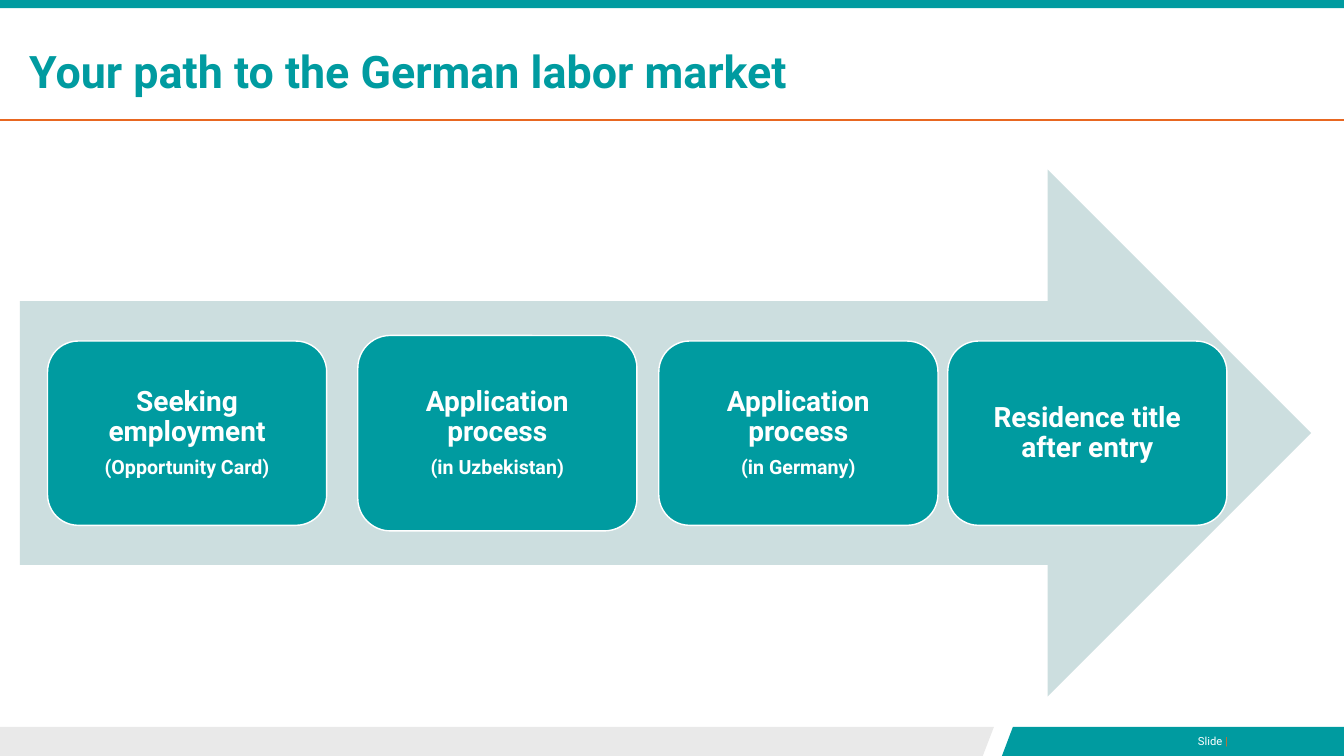
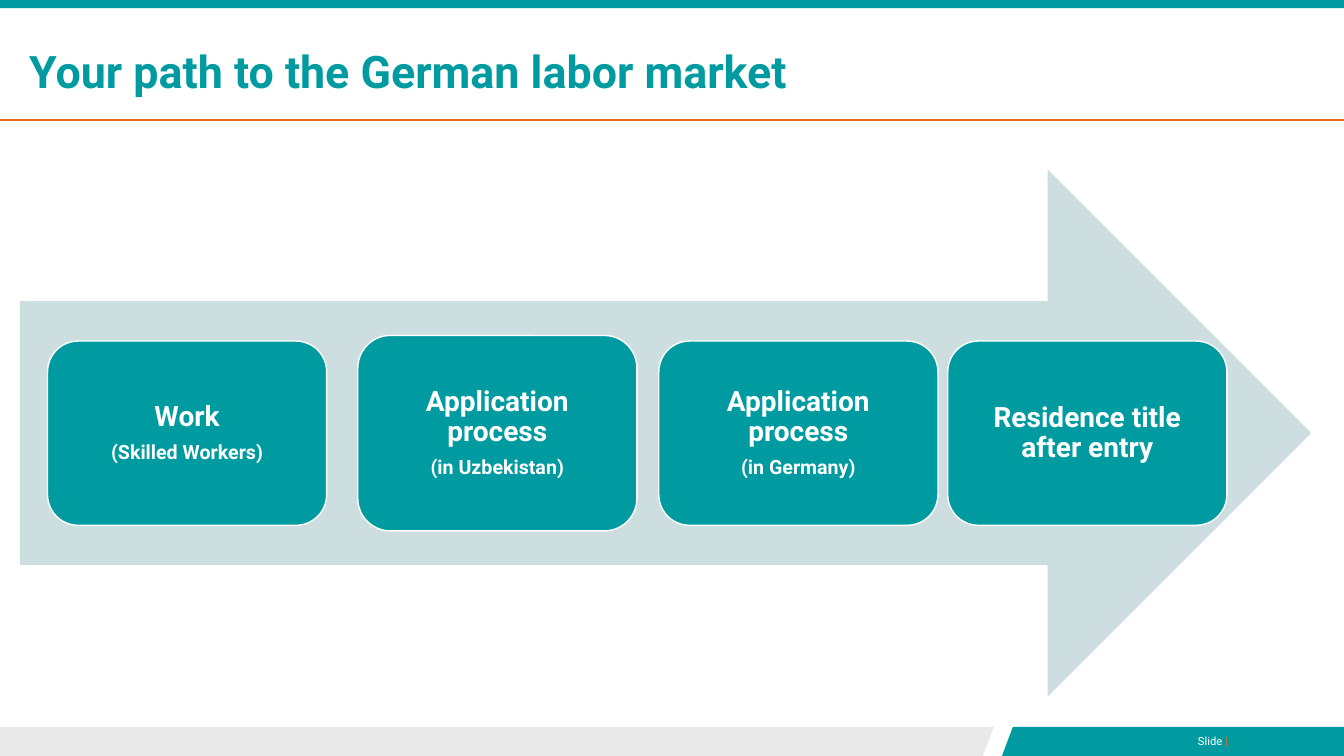
from lxml.etree import SubElement
from pptx import Presentation
from pptx.dml.color import RGBColor
from pptx.enum.shapes import MSO_CONNECTOR as Link, MSO_SHAPE as Form
from pptx.enum.text import MSO_ANCHOR as Anchor, MSO_AUTO_SIZE as Fit, PP_ALIGN as Align
from pptx.oxml.ns import qn
from pptx.util import Pt

# Shared look, lengths in points
WIDE, HIGH = 960, 540
FONT = "Roboto"
TEAL, PALE, GREY = "009BA0", "CCDEDF", "E9E9E9"
RUST, WHITE = "E86721", "FFFFFF"
FOOT = 519.1  # top of the footer bands
RULE = 85.5  # line under the title

# Card row: common width and middle, left edges and heights by place
CARD_W, MID = 199.4, 309.4
LEFTS = (34, 255.6, 470.6, 677)
TALLS = (131.6, 139.6, 131.6, 131.6)

TITLE = "Your path to the German labor market"
STEPS = [
    ("Application process", "(in Uzbekistan)"),
    ("Application process", "(in Germany)"),
    ("Residence title after entry",),
]
STARTS = [
    ("Seeking employment", "(Opportunity Card)"),
    ("Work", "(Skilled Workers)"),
]


def tint(code):
    return RGBColor.from_string(code)


def paint(shape, fill, line=None):
    shape.shadow.inherit = False
    shape.fill.solid()
    shape.fill.fore_color.rgb = tint(fill)
    if line:
        shape.line.color.rgb = tint(line)
        shape.line.width = Pt(1)
    else:
        shape.line.fill.background()


def add_run(para, text, size, color, bold=False):
    run = para.add_run()
    run.text = text
    run.font.name = FONT
    run.font.size = Pt(size)
    run.font.bold = bold
    run.font.color.rgb = tint(color)


def add_form(slide, form, box, fill, line=None):
    shape = slide.shapes.add_shape(form, *map(Pt, box))
    paint(shape, fill, line)
    return shape


def add_band(slide, points, fill):
    pen = slide.shapes.build_freeform(*map(Pt, points[0]), scale=1.0)
    pen.add_line_segments([(Pt(x), Pt(y)) for x, y in points[1:]], close=True)
    paint(pen.convert_to_shape(), fill)


def add_rule(slide, y):
    rule = slide.shapes.add_connector(Link.STRAIGHT, 0, Pt(y), Pt(WIDE), Pt(y))
    rule.line.color.rgb = tint(RUST)
    rule.line.width = Pt(1.25)
    SubElement(rule._element.spPr, qn("a:effectLst"))


def add_frame(slide):
    # Footer bands with slanted ends
    add_band(slide, [(0, FOOT), (710, FOOT), (702, HIGH), (0, HIGH)], GREY)
    add_band(slide, [(723.6, FOOT), (WIDE, FOOT), (WIDE, HIGH), (715.7, HIGH)], TEAL)
    label = slide.shapes.add_textbox(Pt(800), Pt(521.3), Pt(84.2), Pt(17))
    label.text_frame.word_wrap = True
    para = label.text_frame.paragraphs[0]
    para.alignment = Align.RIGHT
    add_run(para, "Slide ", 8, WHITE)
    add_run(para, "|", 8, RUST)
    # Top band and title rule
    add_form(slide, Form.RECTANGLE, (0, 0, WIDE, 5.8), TEAL)
    add_rule(slide, RULE)


def set_title(slide, text):
    title = slide.shapes.title
    title.left, title.top, title.width, title.height = map(Pt, (13.7, 20.9, 722, 64.6))
    frame = title.text_frame
    frame.auto_size = Fit.NONE
    frame.vertical_anchor = Anchor.MIDDLE
    para = frame.paragraphs[0]
    para.alignment = Align.LEFT
    para.line_spacing = 0.9
    add_run(para, text, 32, TEAL, True)


def add_card(slide, left, tall, lines):
    box = (left, MID - tall / 2, CARD_W, tall)
    card = add_form(slide, Form.ROUNDED_RECTANGLE, box, TEAL, WHITE)
    frame = card.text_frame
    frame.word_wrap = True
    frame.vertical_anchor = Anchor.MIDDLE
    frame.margin_left = frame.margin_right = Pt(6)
    frame.margin_top = frame.margin_bottom = Pt(6)
    for i, (text, size) in enumerate(zip(lines, (20, 14))):
        para = frame.add_paragraph() if i else frame.paragraphs[0]
        para.alignment = Align.CENTER
        para.line_spacing = 0.9
        para.space_after = Pt(size * 0.35)
        add_run(para, text, size, WHITE, True)


def add_path(deck, start):
    slide = deck.slides.add_slide(deck.slide_layouts[5])
    add_frame(slide)
    set_title(slide, TITLE)
    add_form(slide, Form.RIGHT_ARROW, (14.2, 121, 922.4, 376.6), PALE)
    for left, tall, lines in zip(LEFTS, TALLS, [start, *STEPS]):
        add_card(slide, left, tall, lines)


def main():
    deck = Presentation()
    deck.slide_width, deck.slide_height = Pt(WIDE), Pt(HIGH)
    for start in STARTS:
        add_path(deck, start)
    deck.save("out.pptx")


if __name__ == "__main__":
    main()
